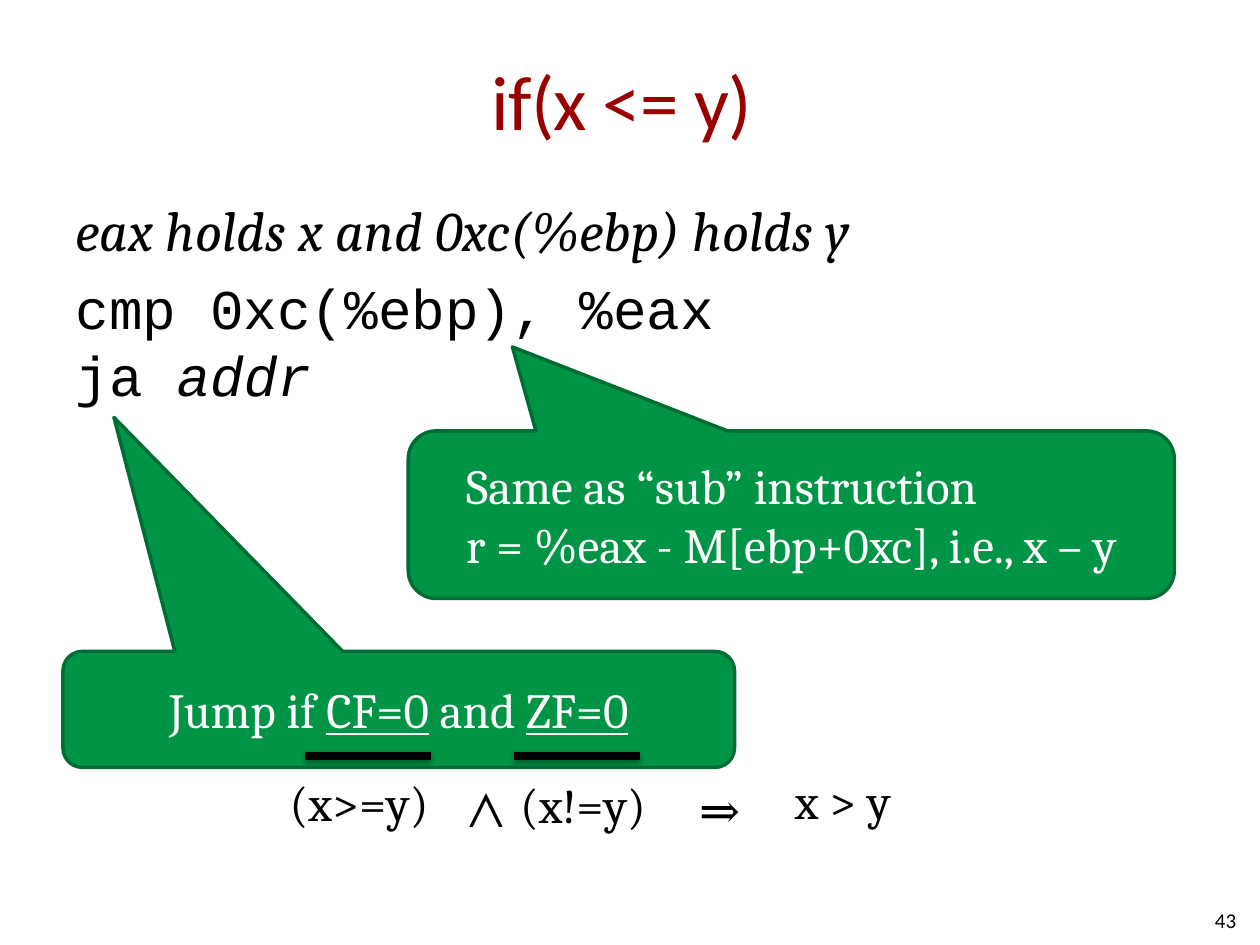
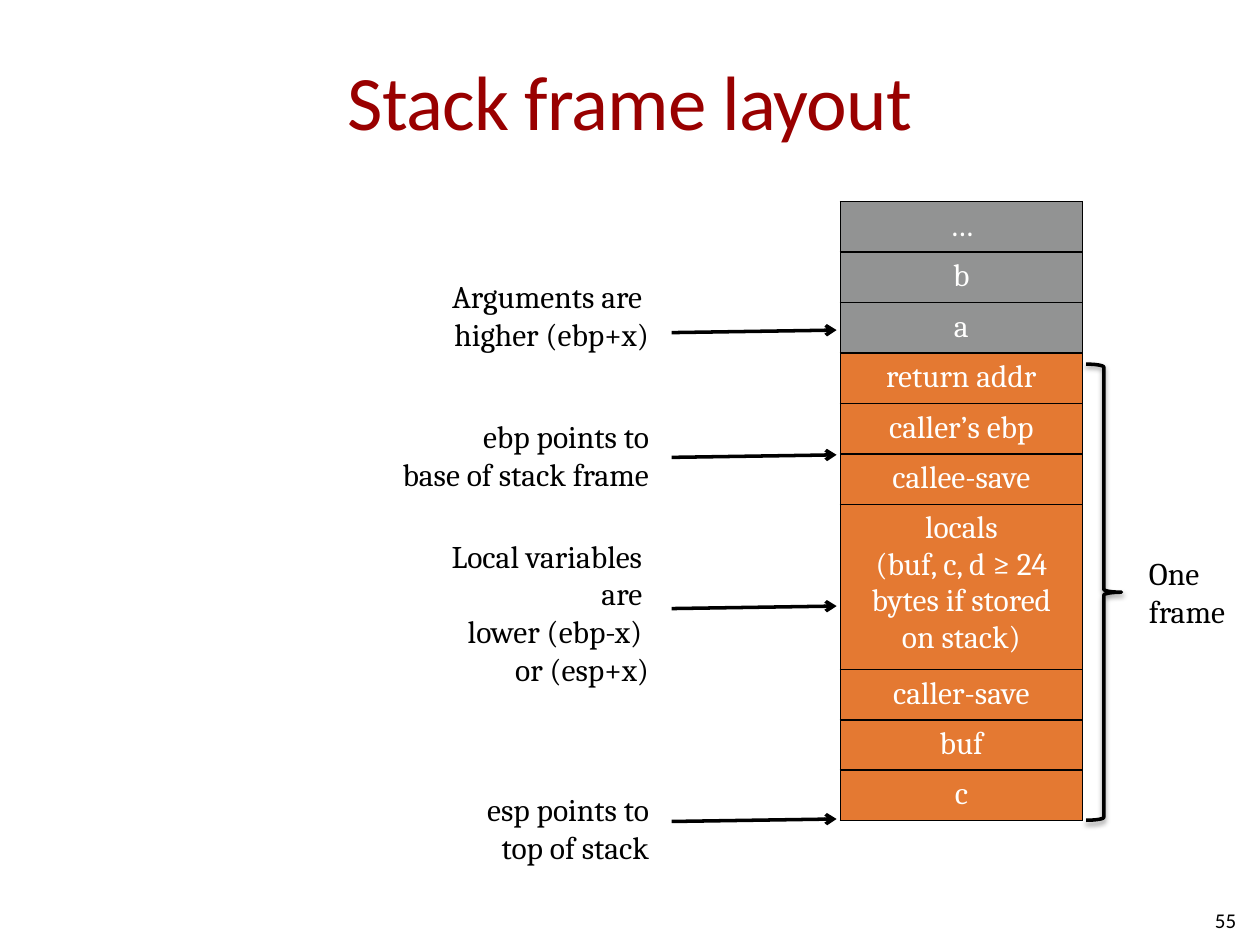
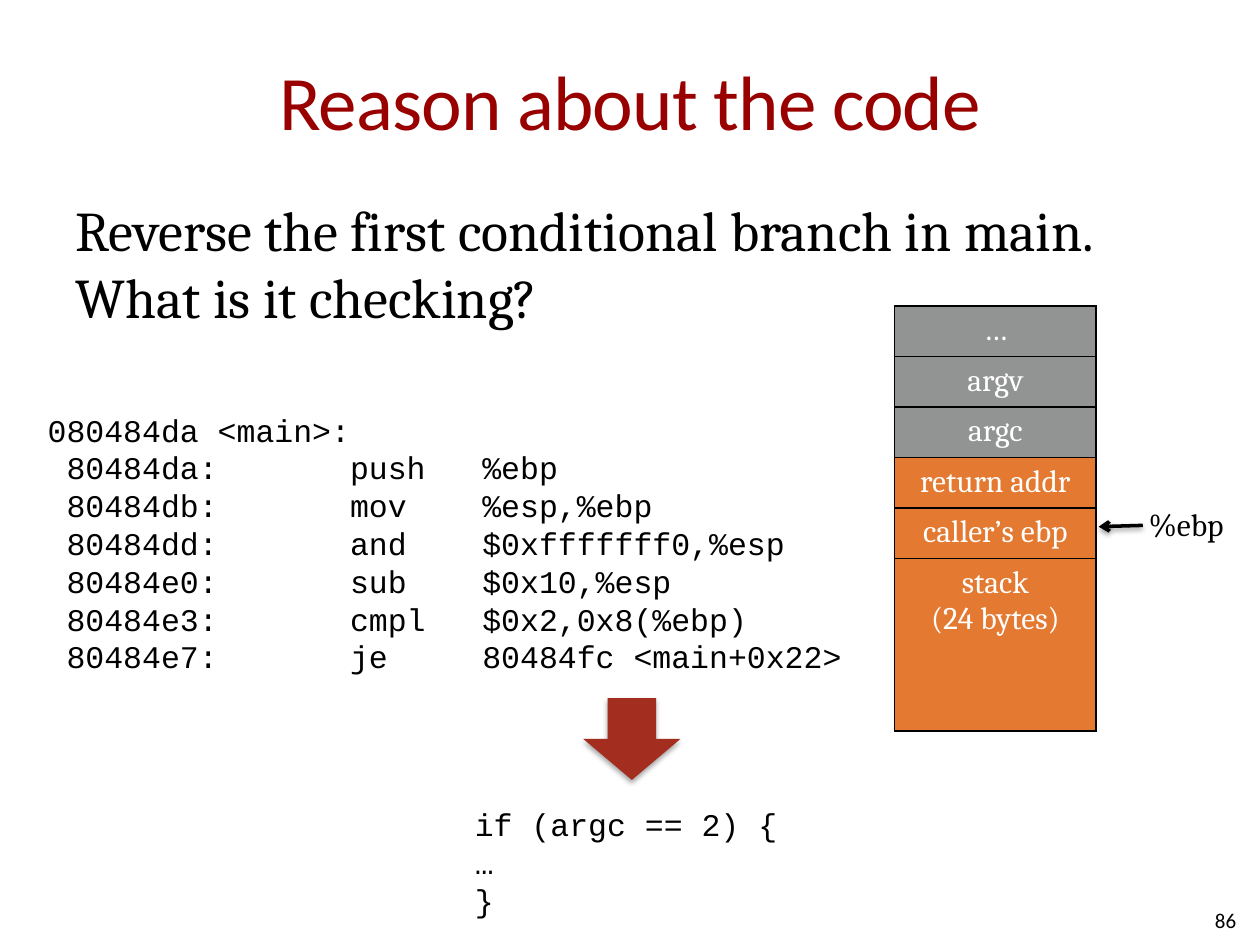
from dataclasses import dataclass

from lxml.etree import SubElement
from pptx import Presentation
from pptx.dml.color import RGBColor
from pptx.enum.shapes import MSO_CONNECTOR, MSO_SHAPE
from pptx.enum.text import MSO_ANCHOR, MSO_AUTO_SIZE, PP_ALIGN
from pptx.oxml.ns import qn
from pptx.util import Inches, Pt


@dataclass(frozen=True)
class Theme:
    # Colours
    title: str = "990000"
    ink: str = "000000"
    light: str = "FFFFFE"
    callout: str = "009446"
    callout_edge: str = "006D34"
    caller: str = "929393"
    frame: str = "E47932"
    arrow: str = "A32D1F"
    # Fonts
    heading_font: str = "Calibri"
    text_font: str = "Cambria"
    code_font: str = "Courier New"
    # Type sizes
    title_size: int = 44
    body_size: int = 32
    note_size: int = 28
    label_size: int = 18
    number_size: int = 12


THEME = Theme()


def write(tf, paras, font=THEME.text_font, size=THEME.label_size, color=THEME.ink,
          align=PP_ALIGN.LEFT, italic=None, spacing=None, tabs=()):
    """Fill a text frame; a paragraph is a string or a list of (text, font changes)."""
    for i, runs in enumerate(paras):
        p = tf.paragraphs[0] if i == 0 else tf.add_paragraph()
        p.alignment = align
        if tabs:
            stops = SubElement(p._p.get_or_add_pPr(), qn("a:tabLst"))
            for stop in tabs:
                SubElement(stops, qn("a:tab"), pos=str(Inches(stop)), algn="l")
        for text, changes in [(runs, {})] if isinstance(runs, str) else runs:
            for n, line in enumerate(text.split("\n")):
                if n:
                    p.add_line_break()
                r = p.add_run()
                r.text = line
                look = dict(name=font, size=Pt(size), italic=italic) | changes
                for key, value in look.items():
                    setattr(r.font, key, value)
                r.font.color.rgb = RGBColor.from_string(color)
                if spacing:
                    r._r.get_or_add_rPr().set("spc", str(spacing))


def set_shadow(sp, alpha=None, dist=1.6):
    """Replace the inherited shadow by a soft one below, or by none."""
    effects = SubElement(sp._element.spPr, qn("a:effectLst"))
    if alpha:
        outer = SubElement(effects, qn("a:outerShdw"), blurRad=str(Pt(3.1)),
                           dist=str(Pt(dist)), dir="5400000", rotWithShape="0")
        clr = SubElement(outer, qn("a:srgbClr"), val=THEME.ink)
        SubElement(clr, qn("a:alpha"), val=str(alpha * 1000))


def set_line(line, color, width):
    line.color.rgb = RGBColor.from_string(color)
    line.width = Pt(width)


def set_fill(fill, color):
    fill.solid()
    fill.fore_color.rgb = RGBColor.from_string(color)


class Deck:
    def __init__(self, theme):
        self.theme = theme
        self.prs = Presentation()
        self.prs.slide_width, self.prs.slide_height = Inches(10), Inches(7.5)
        self.s = None

    def place(self, sp, x, y, w, h):
        sp.left, sp.top, sp.width, sp.height = map(Inches, (x, y, w, h))

    def slide(self, title, number, has_body=False):
        t = self.theme
        self.s = self.prs.slides.add_slide(self.prs.slide_layouts[1 if has_body else 5])
        sp = self.s.shapes.title
        self.place(sp, 0.5, 0.17, 9, 1.25)
        tf = sp.text_frame
        tf.margin_left = tf.margin_right = 0
        tf.vertical_anchor = MSO_ANCHOR.MIDDLE
        write(tf, [title], font=t.heading_font, size=t.title_size, color=t.title,
              align=PP_ALIGN.CENTER, spacing=-50)
        tf = self.text([str(number)], 7.58, 7.1, 2.33, 0.4, wrap=True, align=PP_ALIGN.RIGHT,
                       font=t.heading_font, size=t.number_size)
        tf.vertical_anchor = MSO_ANCHOR.MIDDLE

    def body(self, paras, width=9, **fmt):
        sp = self.s.placeholders[1]
        self.place(sp, 0.5, 1.5, width, 5.2)
        sp.text_frame.auto_size = MSO_AUTO_SIZE.NONE
        write(sp.text_frame, paras, size=self.theme.body_size, **fmt)
        for p in sp.text_frame.paragraphs:
            pPr = p._p.get_or_add_pPr()
            pPr.set("marL", "0")
            pPr.set("indent", "0")
            SubElement(pPr, qn("a:buNone"))

    def text(self, paras, x, y, w, h, wrap=False, **fmt):
        tf = self.s.shapes.add_textbox(*map(Inches, (x, y, w, h))).text_frame
        tf.word_wrap = wrap
        write(tf, paras, **fmt)
        return tf

    def shape(self, kind, x, y, w, h, fill=None, line=None, shadow=None, dist=1.6):
        sp = self.s.shapes.add_shape(kind, *map(Inches, (x, y, w, h)))
        if fill:
            set_fill(sp.fill, fill)
        else:
            sp.fill.background()
        if line:
            set_line(sp.line, line, 2)
        else:
            sp.line.fill.background()
        set_shadow(sp, shadow, dist)
        return sp

    def callout(self, paras, x, y, w, h, tip):
        t = self.theme
        sp = self.shape(MSO_SHAPE.ROUNDED_RECTANGULAR_CALLOUT, x, y, w, h,
                        t.callout, t.callout_edge)
        sp.adjustments[0], sp.adjustments[1] = tip
        tf = sp.text_frame
        tf.vertical_anchor = MSO_ANCHOR.MIDDLE
        tf._txBody.bodyPr.set("anchorCtr", "1")
        write(tf, paras, size=t.note_size, color=t.light)

    def line(self, x1, y1, x2, y2, width=2, arrow=False, shadow=None):
        c = self.s.shapes.add_connector(MSO_CONNECTOR.STRAIGHT,
                                        *map(Inches, (x1, y1, x2, y2)))
        set_line(c.line, self.theme.ink, width)
        if arrow:
            SubElement(c._element.spPr.get_or_add_ln(), qn("a:tailEnd"), type="arrow")
        set_shadow(c, shadow)

    def stack(self, rows, x, y, w, caller_rows=3, tall=None):
        """One-column memory stack; tall maps a row index to its height."""
        t = self.theme
        heights = [(tall or {}).get(i, 0.4) for i in range(len(rows))]
        table = self.s.shapes.add_table(
            len(rows), 1, *map(Inches, (x, y, w, sum(heights)))).table
        table.first_row = table.horz_banding = False
        for i, paras in enumerate(rows):
            table.rows[i].height = Inches(heights[i])
            cell = table.cell(i, 0)
            tcPr = cell._tc.get_or_add_tcPr()
            for side in "LRTB":
                ln = SubElement(tcPr, qn(f"a:ln{side}"), w=str(Pt(1)))
                SubElement(SubElement(ln, qn("a:solidFill")), qn("a:srgbClr"), val=t.ink)
            set_fill(cell.fill, t.caller if i < caller_rows else t.frame)
            write(cell.text_frame, paras, color=t.light, align=PP_ALIGN.CENTER)


def compare_slide(d):
    t = d.theme
    d.slide("if(x <= y) ", 43, has_body=True)
    code = dict(name=t.code_font)
    d.body([[("eax holds x and 0xc(%ebp) holds y", dict(italic=True))],
            [("cmp 0xc(%ebp), %eax \nja ", code), ("addr", code | dict(italic=True))]],
           width=8.83, italic=False)

    # Callouts for the two instructions
    d.callout(["Same as “sub” instruction", "r = %eax - M[ebp+0xc], i.e., x – y"],
              3.24, 3.42, 6.08, 1.33, (-0.364, -1.001))
    under = dict(underline=True)
    d.callout([[("Jump if ", {}), ("CF=0", under), (" and ", {}), ("ZF=0", under)]],
              0.5, 5.17, 5.33, 0.92, (-0.424, -2.519))

    # What the flags mean
    for x in (2.42, 4.08):
        d.line(x, 6, x + 1, 6, width=5, shadow=38)
    for term, x, y, w in [("(x>=y)", 2.2, 6.08, 1.32), ("(x!=y)", 4.03, 6.1, 1.22),
                          ("⋀", 3.62, 6.13, 0.47), ("x > y", 6.21, 6.07, 0.98),
                          ("⇒", 5.45, 6.14, 0.54)]:
        d.text([term], x, y, w, 0.57, size=t.note_size)


def frame_slide(d):
    d.slide("Stack frame layout", 55)
    d.stack([["…"], ["b"], ["a"], ["return addr"], ["caller’s ebp"], ["callee-save"],
             ["locals", "(buf, c, d ≥ 24 bytes if stored on stack)"],
             ["caller-save"], ["buf"], ["c"]], 6.67, 1.6, 1.92, tall={6: 1.31})

    # Brace around the frame
    brace = d.shape(MSO_SHAPE.LEFT_BRACE, 8.62, 2.89, 0.28, 3.62,
                    line=d.theme.ink, shadow=38)
    brace.rotation = 180
    d.text(["One \nframe"], 9.02, 4.35, 0.85, 0.71)

    # Labels end at one right edge, each with an arrow to the stack
    right = 5.25
    for paras, y, w, h, arrow_y in [
            (["Arguments are \nhigher (ebp+x)"], 2.15, 1.8, 0.71, 2.64),
            (["ebp points to\nbase of stack frame"], 3.26, 2.27, 0.71, 3.63),
            (["Local variables \nare \nlower (ebp-x) ", "or (esp+x)"], 4.21, 1.82, 1.31, 4.83),
            (["esp points to\ntop of stack"], 6.22, 1.58, 0.71, 6.52)]:
        d.text(paras, right - w, y, w, h, align=PP_ALIGN.RIGHT)
        d.line(5.33, arrow_y, 6.64, arrow_y - 0.02, arrow=True)


def code_slide(d):
    t = d.theme
    d.slide("Reason about the code", 86, has_body=True)
    d.body(["Reverse the first conditional branch in main. What is it checking?"])

    # Disassembly, in columns at tab stops
    listing = [("da", "push", "%ebp"), ("db", "mov", "%esp,%ebp"),
               ("dd", "and", "$0xfffffff0,%esp"), ("e0", "sub", "$0x10,%esp"),
               ("e3", "cmpl", "$0x2,0x8(%ebp)"), ("e7", "je", "80484fc <main+0x22>")]
    d.text(["080484da <main>:"] + [f" 80484{a}:\t{op}\t{args}" for a, op, args in listing],
           0.28, 3.21, 9.26, 2.22, wrap=True, font=t.code_font, tabs=(2.4, 3.45))

    # Stack and base pointer
    d.stack([["…"], ["argv"], ["argc"], ["return addr"], ["caller’s ebp"],
             ["stack", "(24 bytes)"]], 7.1, 2.43, 1.6, tall={5: 1.37})
    d.text(["%ebp"], 9.02, 3.96, 0.83, 0.4)
    d.line(9.07, 4.17, 8.72, 4.18, arrow=True, shadow=38)

    # Resulting condition
    d.shape(MSO_SHAPE.DOWN_ARROW, 4.63, 5.54, 0.77, 0.65, fill=t.arrow, shadow=35, dist=1.8)
    d.text(["if (argc == 2) {", "…", "}"], 3.67, 6.34, 2.7, 1.01, wrap=True, font=t.code_font)


def main():
    d = Deck(THEME)
    for build in (compare_slide, frame_slide, code_slide):
        build(d)
    d.prs.save("out.pptx")


if __name__ == "__main__":
    main()
